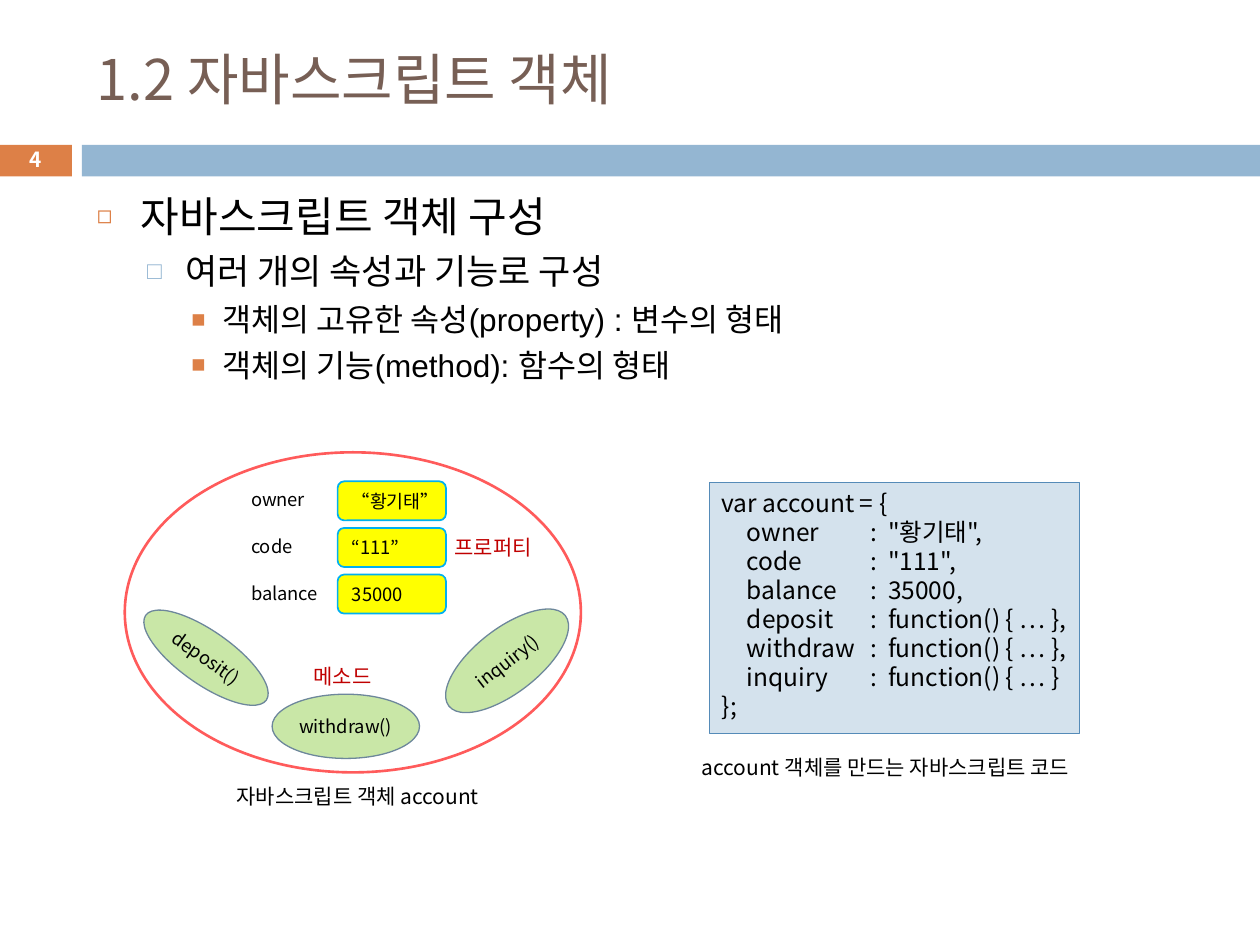
from lxml import etree
from pptx import Presentation
from pptx import util as u
from pptx.dml import color
from pptx.enum import shapes, text
from pptx.oxml import ns

THEME = {
    "sans": "Noto Sans CJK KR", "body": "Arial",
    "ink": "000000", "title": "775F55", "white": "FFFFFF",
    "orange": "DD8047", "blue": "94B6D2", "red": "C00000",
    "code_fill": "D4E2ED", "code_line": "558BB8",
    "method_fill": "C9E7A7", "method_line": "6D879B",
    "value_fill": "FFFF00", "value_line": "00B0F0", "object_line": "FF5B5B",
    "title_size": 32, "number_size": 11.9, "code_size": 14,
    "caption_size": 12, "label_size": 10.5, "leading": 1.18,
}

# Content
TITLE = "1.2 자바스크립트 객체"
PAGE = "4"
OUTLINE = [  # level, text
    (0, "자바스크립트 객체 구성"),
    (1, "여러 개의 속성과 기능로 구성"),
    (2, "객체의 고유한 속성(property) : 변수의 형태"),
    (2, "객체의 기능(method): 함수의 형태"),
]
LEVELS = [  # size, left margin, hanging, space before, bullet, colour, bullet %
    (24, 0.35, 0.35, 7, "◻", "orange", 60),
    (20, 0.70, 0.30, 5.5, "□", "blue", 70),
    (18, 1.00, 0.25, 5, "■", "orange", 75),
]
PROPERTIES = [("owner", "“황기태”"), ("code", "“111”"), ("balance", "35000")]
METHODS = [  # name, box, rotation
    ("deposit()", (1.05, 5.01, 1.17, 0.42), 35.1),
    ("withdraw()", (2.16, 5.51, 1.17, 0.51), 0),
    ("inquiry()", (3.44, 4.99, 1.17, 0.51), 322.2),
]
CODE_MEMBERS = [
    ("owner", "\"황기태\","), ("code", "\"111\","), ("balance", "35000,"),
    ("deposit", "function() { … },"), ("withdraw", "function() { … },"),
    ("inquiry", "function() { … }"),
]
CODE_TABS = (0.2, 1.18, 1.32)
CAPTIONS = [  # text, box, colour
    ("자바스크립트 객체 account", (1.78, 6.17, 2.27, 0.3), "ink"),
    ("프로퍼티", (3.51, 4.19, 0.88, 0.3), "red"),
    ("메소드", (2.39, 5.22, 0.71, 0.3), "red"),
    ("account 객체를 만드는 자바스크립트 코드", (5.47, 5.94, 3.46, 0.3), "ink"),
]

prs = Presentation()
prs.slide_width, prs.slide_height = u.Inches(10), u.Inches(7.5)
slide = prs.slides.add_slide(prs.slide_layouts[6])


def rgb(name):
    return color.RGBColor.from_string(THEME[name])


def sub(parent, tag, **attrs):
    return etree.SubElement(parent, ns.qn(tag), **attrs)


def style(paragraph, size, ink="ink", font="sans", bold=False):
    for run in paragraph.runs:
        run.font.size, run.font.bold = u.Pt(size), bold
        run.font.name = THEME[font]
        run.font.color.rgb = rgb(ink)
        sub(run.font._element, "a:ea", typeface=THEME["sans"])


def write(shape, lines, size, ink="ink", align="LEFT", anchor="TOP",
          wrap=True, inset=(0.1, 0.1), bold=False):
    frame = shape.text_frame
    frame.text = "\n".join(lines)
    frame.word_wrap = wrap
    frame.vertical_anchor = text.MSO_ANCHOR[anchor]
    frame.margin_left, frame.margin_right = map(u.Inches, inset)
    for paragraph in frame.paragraphs:
        paragraph.alignment = text.PP_ALIGN[align]
        style(paragraph, size, ink, bold=bold)
    return frame


def draw(kind, box, fill=None, line=None, width=0.75):
    shape = slide.shapes.add_shape(shapes.MSO_SHAPE[kind], *map(u.Inches, box))
    shape.shadow.inherit = False
    if fill:
        shape.fill.solid()
        shape.fill.fore_color.rgb = rgb(fill)
    else:
        shape.fill.background()
    if line:
        shape.line.color.rgb = rgb(line)
        shape.line.width = u.Pt(width)
    else:
        shape.line.fill.background()
    return shape


def textbox(box):
    return slide.shapes.add_textbox(*map(u.Inches, box))


# Header band, title and page number
draw("RECTANGLE", (-0.01, 1.15, 0.58, 0.25), "orange")
draw("RECTANGLE", (0.65, 1.15, 9.35, 0.25), "blue")
write(textbox((0.67, 0.25, 8.92, 0.74)), [TITLE], THEME["title_size"], "title",
      anchor="MIDDLE")
write(textbox((-0.01, 1.13, 0.58, 0.27)), [PAGE], THEME["number_size"], "white",
      "CENTER", "MIDDLE", bold=True)

# Bulleted outline
outline = textbox((0.67, 1.47, 8.92, 5.51)).text_frame
outline.word_wrap = True
outline.text = "\n".join(item for _, item in OUTLINE)
for i, (paragraph, (level, _)) in enumerate(zip(outline.paragraphs, OUTLINE)):
    size, margin, hang, before, bullet, tint, share = LEVELS[level]
    props = paragraph._p.get_or_add_pPr()
    props.set("marL", str(u.Inches(margin)))
    props.set("indent", str(-u.Inches(hang)))
    sub(sub(props, "a:buClr"), "a:srgbClr", val=THEME[tint])
    sub(props, "a:buSzPct", val=str(share * 1000))
    sub(props, "a:buFont", typeface=THEME["body"])
    sub(props, "a:buChar", char=bullet)
    paragraph.level = level
    paragraph.line_spacing = u.Pt(size * THEME["leading"])
    if i:
        paragraph.space_before = u.Pt(before)
    style(paragraph, size, font="body")

# Code listing
code_lines = ["var account = {",
              *(f"\t{name}\t:\t{value}" for name, value in CODE_MEMBERS), "};"]
code = write(draw("RECTANGLE", (5.63, 3.83, 2.94, 1.99), "code_fill", "code_line"),
             code_lines, THEME["code_size"], inset=(0.1, 0))
for paragraph in code.paragraphs:
    stops = sub(paragraph._p.get_or_add_pPr(), "a:tabLst")
    for stop in CODE_TABS:
        sub(stops, "a:tab", pos=str(u.Inches(stop)), algn="l")
    paragraph.line_spacing = u.Pt(THEME["code_size"] * THEME["leading"])

# Object diagram: outline, methods, properties
draw("OVAL", (0.99, 3.59, 3.62, 2.54), line="object_line", width=1.5)
for name, box, turn in METHODS:
    method = draw("OVAL", box, "method_fill", "method_line")
    method.rotation = turn
    write(method, [name], THEME["label_size"], align="CENTER", anchor="MIDDLE",
          wrap=False, inset=(0.04, 0.04))

for row, (name, value) in enumerate(PROPERTIES):
    top = 3.81 + row * 0.37
    label = draw("ROUNDED_RECTANGLE", (1.88, top, 0.86, 0.31))
    field = draw("ROUNDED_RECTANGLE", (2.68, top + 0.01, 0.86, 0.31),
                 "value_fill", "value_line", 1)
    for shape, words in ((label, name), (field, value)):
        write(shape, [words], THEME["label_size"], anchor="MIDDLE", inset=(0.1, 0))

# Captions
for words, box, ink in CAPTIONS:
    write(textbox(box), [words], THEME["caption_size"], ink, inset=(0.1, 0))

prs.save("out.pptx")
